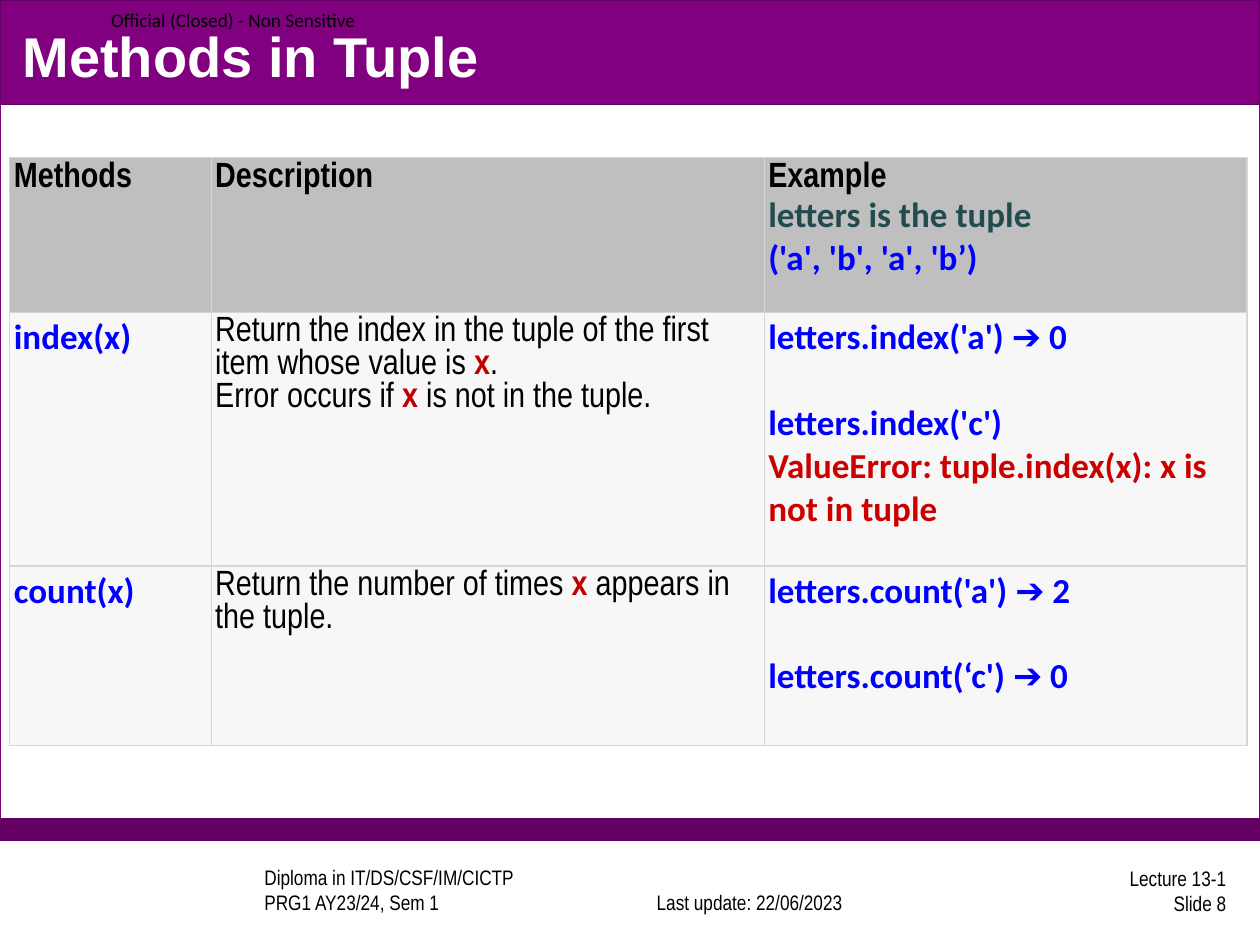
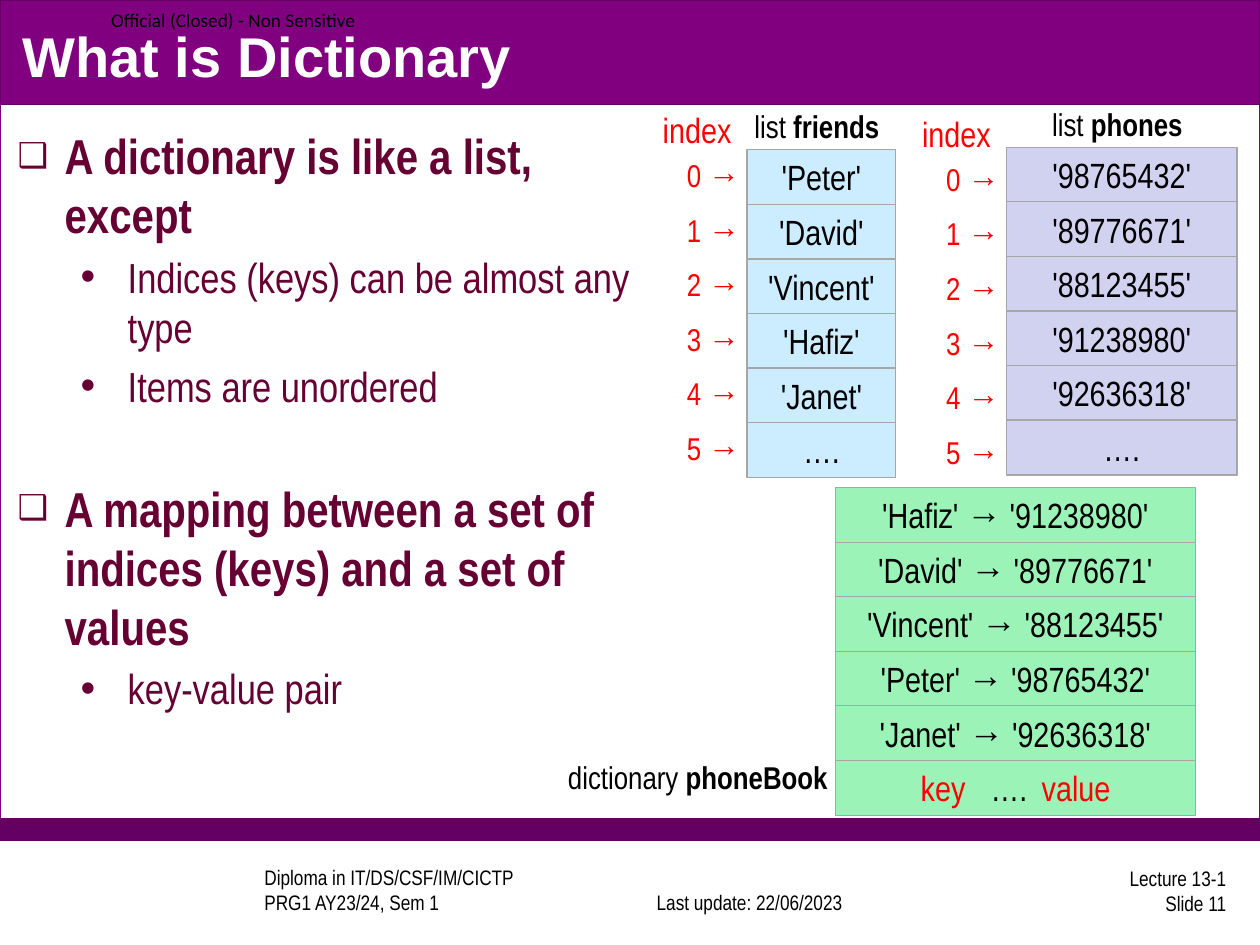
from dataclasses import dataclass

from lxml import etree
from pptx import Presentation
from pptx import util as u
from pptx.dml.color import RGBColor
from pptx.enum import shapes, text
from pptx.oxml.ns import qn

Cm, Pt = u.Cm, u.Pt
LEFT, CENTER, RIGHT = text.PP_ALIGN.LEFT, text.PP_ALIGN.CENTER, text.PP_ALIGN.RIGHT
TOP, MIDDLE, BOTTOM = (text.MSO_ANCHOR.TOP, text.MSO_ANCHOR.MIDDLE,
                       text.MSO_ANCHOR.BOTTOM)


@dataclass(frozen=True)
class Theme:
    band: str = "800080"
    stripe: str = "640064"
    white: str = "FFFFFF"
    black: str = "000000"
    body: str = "660033"
    red: str = "FF0000"
    code: str = "0000FF"
    note: str = "224B50"
    error: str = "CC0000"
    argument: str = "C00000"
    header_fill: str = "BFBFBF"
    row_fill: str = "F7F7F7"
    grid: str = "D6D6D6"
    box_line: str = "A6A6A6"
    friends: str = "CCECFF"
    phones: str = "D1D1F0"
    book: str = "9BF3B8"
    heading_font: str = "Arial"
    narrow: str = "Arial Narrow"
    sans: str = "Calibri"
    title_size: int = 32
    point_size: int = 28
    sub_size: int = 24
    cell_size: int = 20
    label_size: int = 18
    footer_size: int = 12
    marking_size: int = 11
    leading: float = 1.2
    tight: float = 0.94


T = Theme()
ROW_PITCH, ROW_HEIGHT = 1.1, 1.11
CODE = dict(font=T.sans, color=T.code, bold=True)
ARG = dict(color=T.argument, bold=True)


def rgb(color):
    return RGBColor.from_string(color)


def write(p, runs, size=T.cell_size, font=T.narrow, color=T.black, bold=False,
          align=LEFT, before=0, leading=T.leading):
    """Fill a paragraph from a string or from (string, overrides) runs."""
    p.alignment = align
    p.space_before = Pt(before)
    if font == T.narrow:
        p.line_spacing = Pt(round(size * leading, 1))
    for content, own in [(runs, {})] if isinstance(runs, str) else runs:
        r = p.add_run()
        r.text = content
        look = dict(font=font, color=color, bold=bold) | own
        r.font.size = Pt(size)
        r.font.name = look["font"]
        r.font.bold = look["bold"]
        r.font.color.rgb = rgb(look["color"])


def write_lines(tf, lines, **fmt):
    """Write one paragraph per (runs, overrides) line."""
    for i, (runs, own) in enumerate(lines):
        write(tf.paragraphs[0] if i == 0 else tf.add_paragraph(), runs, **(fmt | own))


def place(sp, x, y, w, h):
    sp.left, sp.top, sp.width, sp.height = Cm(x), Cm(y), Cm(w), Cm(h)


def add_label(s, x, y, w, h, *lines, anchor=TOP, inset=None, **fmt):
    tf = s.shapes.add_textbox(Cm(x), Cm(y), Cm(w), Cm(h)).text_frame
    tf.word_wrap = True
    tf.vertical_anchor = anchor
    if inset is not None:
        tf.margin_left = tf.margin_right = tf.margin_top = tf.margin_bottom = Cm(inset)
    write_lines(tf, [(line, {}) for line in lines], **fmt)


def add_rect(s, x, y, w, h, fill, line):
    sp = s.shapes.add_shape(shapes.MSO_SHAPE.RECTANGLE, Cm(x), Cm(y), Cm(w), Cm(h))
    sp.shadow.inherit = False
    sp.fill.solid()
    sp.fill.fore_color.rgb = rgb(fill)
    sp.line.color.rgb = rgb(line)
    sp.line.width = Pt(0.75)
    return sp


def add_box(s, x, y, w, fill):
    """Add one empty row box and return its text frame."""
    tf = add_rect(s, x, y, w, ROW_HEIGHT, fill, T.box_line).text_frame
    tf.word_wrap = True
    tf.vertical_anchor = TOP
    return tf


def add_page(prs, layout, title, number):
    """Add a slide with the shared bands, marking, footer and title."""
    s = prs.slides.add_slide(prs.slide_layouts[layout])
    placeholders = list(s.placeholders)
    add_rect(s, 0, 0, 25.4, 16.94, T.white, T.band)
    add_rect(s, 0, 16.51, 25.4, 0.43, T.stripe, T.stripe)
    add_rect(s, 0, 0, 25.4, 2.11, T.band, T.stripe)
    small = dict(size=T.footer_size)
    add_label(s, 5.08, 17.5, 6.8, 1.07, "Diploma in IT/DS/CSF/IM/CICTP",
              "PRG1 AY23/24, Sem 1", anchor=BOTTOM, **small)
    add_label(s, 12.47, 17.5, 5.28, 1.07, "Last update: 22/06/2023",
              anchor=BOTTOM, align=CENTER, **small)
    add_label(s, 19.69, 17.42, 5.28, 1.07, "Lecture 13-1", f"Slide {number}",
              anchor=MIDDLE, align=RIGHT, **small)
    add_label(s, 2.24, 0, 7, 0.79, "Official (Closed) - Non Sensitive", anchor=MIDDLE,
              inset=0, size=T.marking_size, font=T.sans)
    for sp in placeholders:  # keep the placeholders in front of the bands
        sp._element.getparent().append(sp._element)
    place(s.shapes.title, 0.2, 0.33, 24.97, 1.57)
    tf = s.shapes.title.text_frame
    tf.auto_size = text.MSO_AUTO_SIZE.NONE
    tf.vertical_anchor = MIDDLE
    write(tf.paragraphs[0], title, size=T.title_size, font=T.heading_font,
          color=T.white, bold=True)
    return s


def add_borders(cell, color):
    tc_pr = cell._tc.get_or_add_tcPr()
    for side in ("a:lnL", "a:lnR", "a:lnT", "a:lnB"):
        ln = etree.SubElement(tc_pr, qn(side), w=str(Pt(0.75)))
        fill = etree.SubElement(ln, qn("a:solidFill"))
        etree.SubElement(fill, qn("a:srgbClr"), val=color)


def add_methods_table(s, x, y, widths, heights, rows):
    tbl = s.shapes.add_table(len(rows), len(widths), Cm(x), Cm(y),
                             Cm(sum(widths)), Cm(sum(heights))).table
    tbl.first_row = tbl.horz_banding = False
    for col, w in zip(tbl.columns, widths):
        col.width = Cm(w)
    for i, row in enumerate(rows):
        tbl.rows[i].height = Cm(heights[i])
        for j, lines in enumerate(row):
            cell = tbl.cell(i, j)
            cell.margin_left = cell.margin_right = Cm(0.08)
            cell.margin_top = cell.margin_bottom = Cm(0.08)
            add_borders(cell, T.grid)
            cell.fill.solid()
            cell.fill.fore_color.rgb = rgb(T.row_fill if i else T.header_fill)
            write_lines(cell.text_frame, lines, leading=T.tight, bold=i == 0)


def methods_slide(prs):
    s = add_page(prs, 5, "Methods in Tuple", 8)
    after_gap = CODE | dict(before=24.4)
    rows = [
        [[("Methods", {})], [("Description", {})],
         [("Example", {}),
          ("letters is the tuple", CODE | dict(color=T.note)),
          ("('a', 'b', 'a', 'b’)", CODE)]],
        [[("index(x)", CODE)],
         [([("Return the index in the tuple of the first item whose value is ", {}),
            ("x", ARG), (".", {})], {}),
          ([("Error occurs if ", {}), ("x", ARG), (" is not in the tuple.", {})], {})],
         [("letters.index('a') ➔ 0", CODE),
          ("letters.index('c')", after_gap),
          ("ValueError: tuple.index(x): x is not in tuple",
           CODE | dict(color=T.error))]],
        [[("count(x)", CODE)],
         [([("Return the number of times ", {}), ("x ", ARG),
            ("appears in the tuple.", {})], {})],
         [("letters.count('a') ➔ 2", CODE),
          ("letters.count(‘c') ➔ 0", after_gap)]],
    ]
    add_methods_table(s, 0.2, 3.18, (4.06, 11.15, 9.73), (3.12, 5.11, 3.61), rows)


def add_bullet(p, char, left, size=100):
    p_pr = p._p.get_or_add_pPr()
    p_pr.set("marL", str(Cm(left)))
    p_pr.set("indent", str(-Cm(0.95)))
    etree.SubElement(p_pr, qn("a:buSzPct"), val=str(size * 1000))
    etree.SubElement(p_pr, qn("a:buChar"), char=char)


def fill_body(sp, points):
    """Write (level, text, space before) points into the body placeholder."""
    place(sp, 0.1, 2.41, 13.13, 13.64)
    tf = sp.text_frame
    tf.auto_size = text.MSO_AUTO_SIZE.NONE
    for i, (level, content, before) in enumerate(points):
        p = tf.add_paragraph() if i else tf.paragraphs[0]
        p.level = level
        if level:
            add_bullet(p, "•", 2.22)
        else:
            add_bullet(p, "❑", 0.95, size=70)
        write(p, content, size=T.sub_size if level else T.point_size, color=T.body,
              bold=level == 0, before=before)


def add_named_label(s, x, y, w, kind, name):
    add_label(s, x, y, w, 1.02, [(f"{kind} ", {}), (name, dict(bold=True))],
              size=T.label_size)


def add_boxes(s, x, y, w, values, fill):
    for i, value in enumerate(values):
        tf = add_box(s, x, y + i * ROW_PITCH, w, fill)
        write(tf.paragraphs[0], value, align=CENTER)


def add_list(s, x, y, w, name, values, fill, name_dx, index_dy):
    """Draw a stack of values with its name above and its indices at the left."""
    add_boxes(s, x, y, w, values, fill)
    add_named_label(s, x + name_dx, y - 0.98, 4.25, "list", name)
    index_x, index_y = x - 1.95, y + index_dy
    add_label(s, index_x, index_y - 0.96, 1.9, 1.11, "index", color=T.red)
    for i in range(len(values)):
        add_label(s, index_x, index_y + i * ROW_PITCH, 2.54, 1.02, f"{i} →",
                  size=T.label_size, color=T.red, align=CENTER)


def add_phone_book(s, x, y, w, entries):
    add_boxes(s, x, y, w, [f"{key} → {value}" for key, value in entries], T.book)
    last_y = y + len(entries) * ROW_PITCH
    tf = add_box(s, x, last_y, w, T.book)
    tf.margin_left = Cm(1.72)
    p = tf.paragraphs[0]
    tabs = etree.SubElement(p._p.get_or_add_pPr(), qn("a:tabLst"))
    for stop in (1.41, 2.44):
        etree.SubElement(tabs, qn("a:tab"), pos=str(Cm(stop)), algn="l")
    write(p, [("key", dict(color=T.red)), ("\t….\t", {}),
              ("value", dict(color=T.red))])
    add_named_label(s, x - 5.64, last_y - 0.17, 6.35, "dictionary", "phoneBook")


def dictionary_slide(prs):
    s = add_page(prs, 1, "What is Dictionary", 11)
    fill_body(s.placeholders[1], [
        (0, "A dictionary is like a list, except", 0),
        (1, "Indices (keys) can be almost any type", 4.5),
        (1, "Items are unordered", 4.5),
        (0, "A mapping between a set of indices (keys) and a set of values", 39),
        (1, "key-value pair", 4.5),
    ])
    phones = {"'Peter'": "'98765432'", "'David'": "'89776671'",
              "'Vincent'": "'88123455'", "'Hafiz'": "'91238980'",
              "'Janet'": "'92636318'"}
    add_list(s, 15.06, 3.02, 3, "friends", [*phones, "…."], T.friends, -0.1, 0)
    add_list(s, 20.29, 2.97, 4.65, "phones", [*phones.values(), "…."], T.phones,
             0.67, 0.13)
    unordered = ("'Hafiz'", "'David'", "'Vincent'", "'Peter'", "'Janet'")
    add_phone_book(s, 16.84, 9.83, 7.26, [(name, phones[name]) for name in unordered])


def main():
    prs = Presentation()
    prs.slide_width, prs.slide_height = Cm(25.4), Cm(19.05)
    methods_slide(prs)
    dictionary_slide(prs)
    prs.save("out.pptx")


if __name__ == "__main__":
    main()
